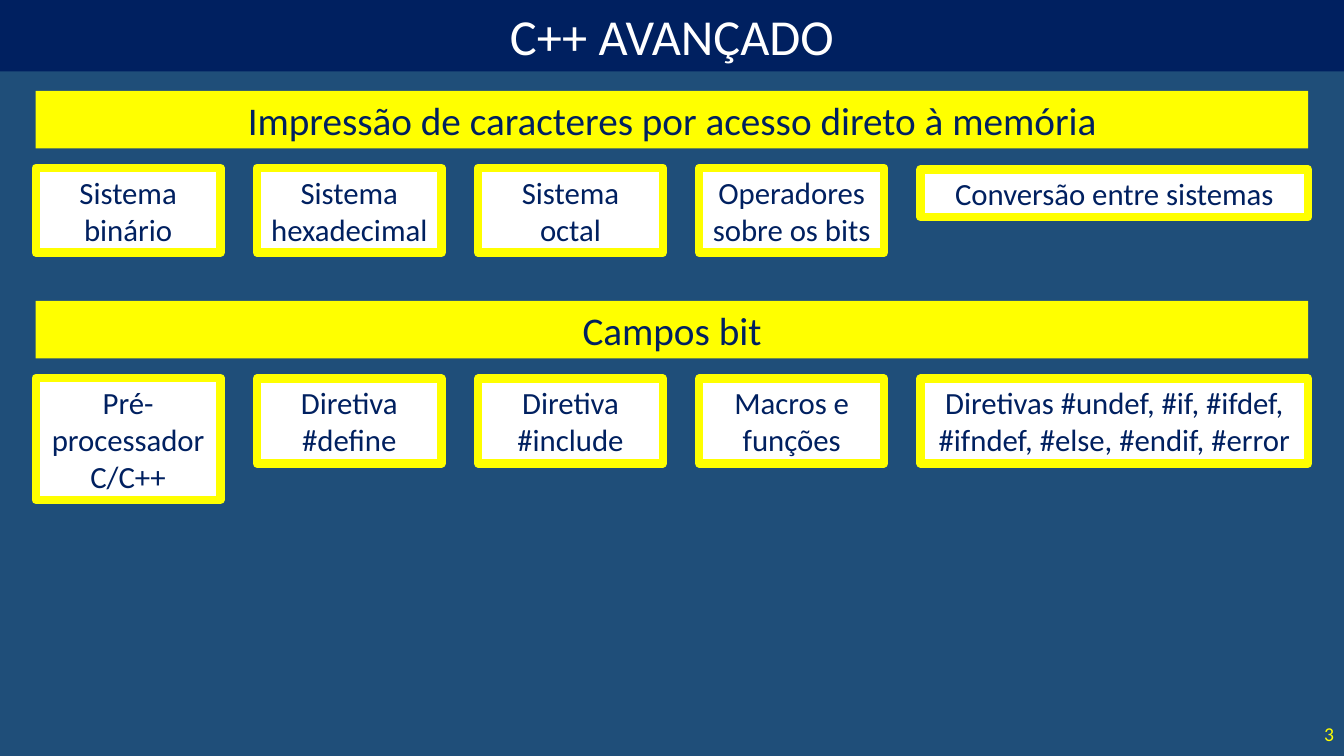
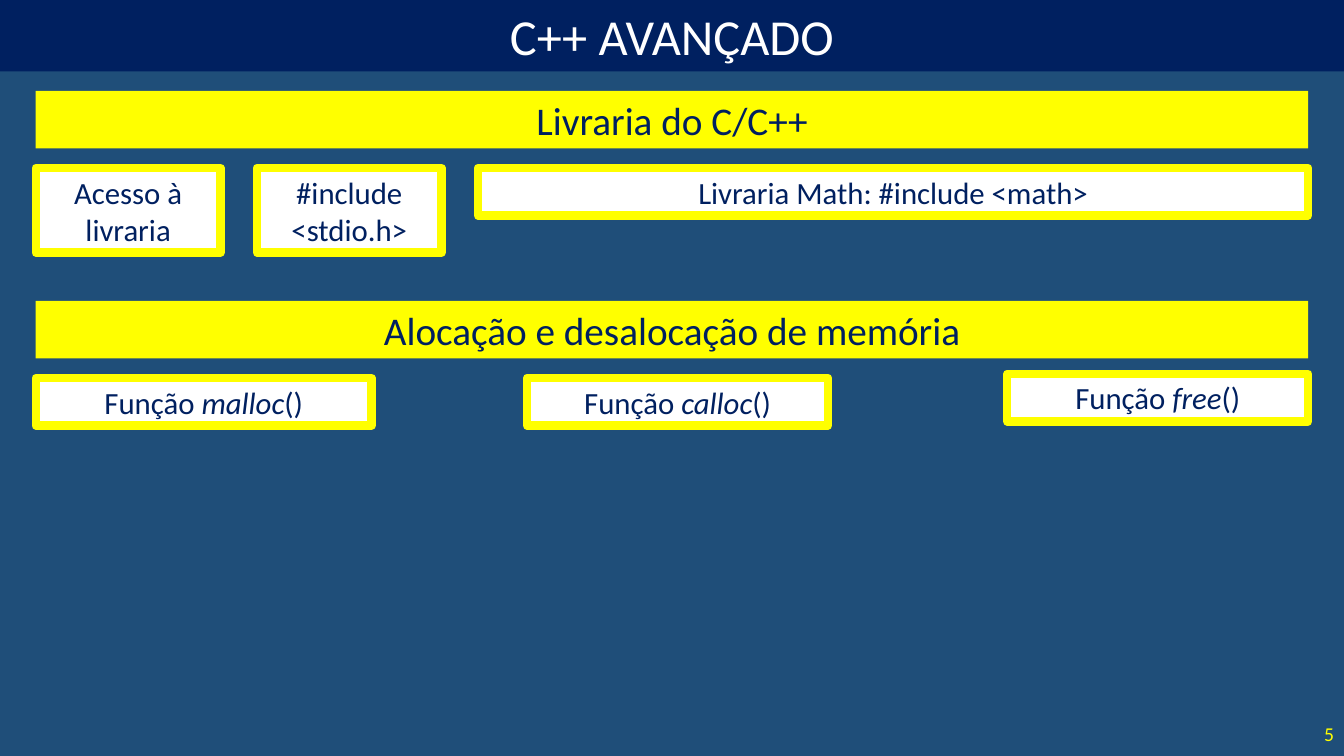
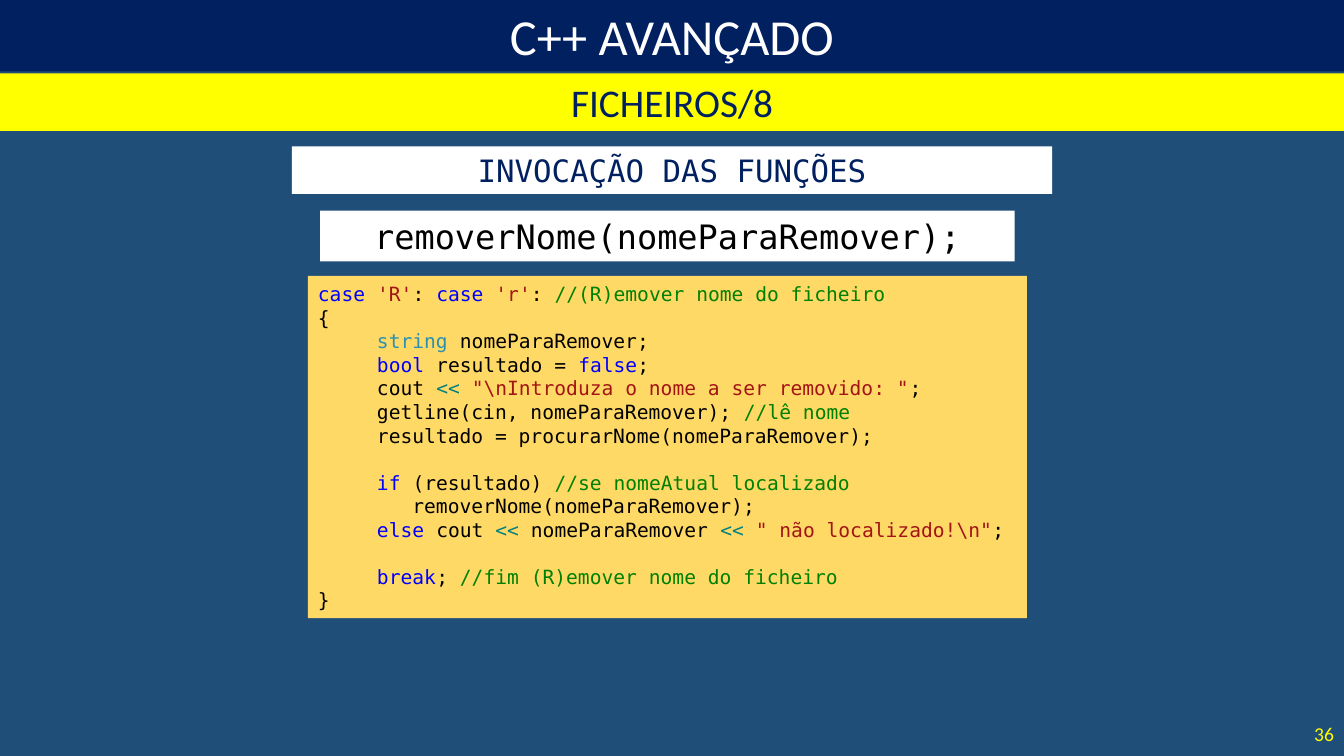
from pptx import Presentation
from pptx.dml.color import RGBColor
from pptx.enum.shapes import MSO_SHAPE
from pptx.enum.text import MSO_ANCHOR, MSO_AUTO_SIZE, PP_ALIGN
from pptx.util import Pt

RECT = MSO_SHAPE.RECTANGLE
MIDDLE = MSO_ANCHOR.MIDDLE
FIXED, GROW = MSO_AUTO_SIZE.NONE, MSO_AUTO_SIZE.SHAPE_TO_FIT_TEXT
LEFT, CENTER, RIGHT = PP_ALIGN.LEFT, PP_ALIGN.CENTER, PP_ALIGN.RIGHT

BLUE = RGBColor(0x1F, 0x4E, 0x79)
NAVY = RGBColor(0x00, 0x20, 0x60)
YELLOW = RGBColor(0xFF, 0xFF, 0x00)
WHITE = RGBColor(0xFF, 0xFF, 0xFF)
BLACK = RGBColor(0x00, 0x00, 0x00)
GOLD = RGBColor(0xFF, 0xD9, 0x66)

SANS, MONO = "Calibri", "DejaVu Sans Mono"

# Run styles
PLAIN = {}
ITALIC = {"italic": True}
WORD = {"color": RGBColor(0x00, 0x00, 0xFF)}
TYPE = {"color": RGBColor(0x2B, 0x91, 0xAF)}
QUOTE = {"color": RGBColor(0xA3, 0x15, 0x15)}
SIGN = {"color": RGBColor(0x00, 0x80, 0x80)}
NOTE = {"color": RGBColor(0x00, 0x80, 0x00)}

WIDE, HIGH = 960, 540
EDGE, SPAN = 25.5, 909
TILE, STEP = 132, 158
COLS = [EDGE + STEP * i for i in range(5)]
END = EDGE + SPAN


def write(shape, text, size=22, color=NAVY, font=SANS, align=CENTER, fit=GROW):
    """Fill a shape with a string, or with lines of (text, style) runs."""
    frame = shape.text_frame
    frame.word_wrap = True
    frame.auto_size = fit
    frame.vertical_anchor = MIDDLE
    lines = [[(text, PLAIN)]] if isinstance(text, str) else text
    for i, line in enumerate(lines):
        para = frame.add_paragraph() if i else frame.paragraphs[0]
        para.alignment = align
        for part, style in line:
            run = para.add_run()
            run.text = part
            run.font.name = font
            run.font.size = Pt(size)
            run.font.italic = style.get("italic")
            run.font.color.rgb = style.get("color", color)


def box(slide, text, x, y, w, h, fill=WHITE, line=None, **form):
    shape = slide.shapes.add_shape(RECT, Pt(x), Pt(y), Pt(w), Pt(h))
    shape.shadow.inherit = False
    shape.fill.solid()
    shape.fill.fore_color.rgb = fill
    if line is None:
        shape.line.fill.background()
    else:
        shape.line.color.rgb = line
        shape.line.width = Pt(6)
    write(shape, text, **form)


deck = Presentation()
deck.slide_width, deck.slide_height = Pt(WIDE), Pt(HIGH)
layout = deck.slide_layouts[5]
layout.background.fill.solid()
layout.background.fill.fore_color.rgb = BLUE

# Title band and page number of every slide
slides = []
for page in ("3", "5", "36"):
    slide = deck.slides.add_slide(layout)
    title = slide.shapes.title
    title.left, title.top, title.width, title.height = 0, 0, Pt(WIDE), Pt(51)
    title.fill.solid()
    title.fill.fore_color.rgb = NAVY
    write(title, "C++ AVANÇADO", size=36, color=WHITE, fit=FIXED)
    mark = slide.shapes.add_textbox(Pt(871), Pt(509.5), Pt(89), Pt(29))
    write(mark, page, size=14, color=YELLOW, align=RIGHT, fit=FIXED)
    slides.append(slide)
first, second, third = slides

# Topics: slide, top, heading, tiles as (text, left, width, drop, lines)
topics = [
    (first, 65, "Impressão de caracteres por acesso direto à memória", [
        ("Sistema binário", COLS[0], TILE, 0, 2),
        ("Sistema hexadecimal", COLS[1], TILE, 0, 2),
        ("Sistema octal", COLS[2], TILE, 0, 2),
        ("Operadores sobre os bits", COLS[3], TILE, 0, 2),
        ("Conversão entre sistemas", COLS[4], END - COLS[4], 1, 1),
    ]),
    (first, 215, "Campos bit", [
        ("Pré-processador C/C++", COLS[0], TILE, 0, 3),
        ("Diretiva #define", COLS[1], TILE, 0.5, 2),
        ("Diretiva #include", COLS[2], TILE, 0.5, 2),
        ("Macros e funções", COLS[3], TILE, 0.5, 2),
        ("Diretivas #undef, #if, #ifdef, #ifndef, #else, #endif, #error",
         COLS[4], END - COLS[4], 0.5, 2),
    ]),
    (second, 65, "Livraria do C/C++", [
        ("Acesso à livraria", COLS[0], TILE, 0, 2),
        ("#include <stdio.h>", COLS[1], TILE, 0, 2),
        ("Livraria Math: #include <math>", COLS[2], END - COLS[2], 0, 1),
    ]),
    (second, 215, "Alocação e desalocação de memória", [
        ([[("Função ", PLAIN), (name, ITALIC), ("()", PLAIN)]], x, w, drop, 1)
        for name, x, w, drop in (("malloc", EDGE, 240, 0),
                                 ("calloc", 376.5, 215, 0),
                                 ("free", END - 215, 215, -3))
    ]),
]
for slide, top, head, tiles in topics:
    box(slide, head, EDGE, top, SPAN, 41, fill=YELLOW, size=28)
    for text, x, w, drop, lines in tiles:
        box(slide, text, x, top + 55 + drop, w, 7.5 + 26.5 * lines, line=YELLOW)

# Code slide
code = [
    [("case ", WORD), ("'R'", QUOTE), (": ", PLAIN), ("case ", WORD),
     ("'r'", QUOTE), (": ", PLAIN), ("//(R)emover nome do ficheiro", NOTE)],
    [("{", PLAIN)],
    [("     string ", TYPE), ("nomeParaRemover;", PLAIN)],
    [("     bool", WORD), (" resultado = ", PLAIN), ("false", WORD), (";", PLAIN)],
    [("     cout ", PLAIN), ("<< ", SIGN),
     ('"\\nIntroduza o nome a ser removido: "', QUOTE), (";", PLAIN)],
    [("     getline(cin, nomeParaRemover); ", PLAIN), ("//lê nome", NOTE)],
    [("     resultado = procurarNome(nomeParaRemover);", PLAIN)],
    [("     ", PLAIN)],
    [("     if", WORD), (" (resultado) ", PLAIN),
     ("//se nomeAtual localizado", NOTE)],
    [("        removerNome(nomeParaRemover);", PLAIN)],
    [("     else ", WORD), ("cout ", PLAIN), ("<< ", SIGN),
     ("nomeParaRemover ", PLAIN), ("<< ", SIGN),
     ('" não localizado!\\n"', QUOTE), (";", PLAIN)],
    [("     ", PLAIN)],
    [("     break", WORD), ("; ", PLAIN),
     ("//fim (R)emover nome do ficheiro", NOTE)],
    [("}", PLAIN)],
]
box(third, "FICHEIROS/8", 0, 52.5, WIDE, 41, fill=YELLOW, size=28)
box(third, "INVOCAÇÃO DAS FUNÇÕES", 208.5, 104.5, 543, 34, font=MONO)
box(third, "removerNome(nomeParaRemover);", 228.75, 150.5, 496, 36.25,
    size=24, color=BLACK, font=MONO)
box(third, code, 220, 197, 513.5, 244.5, fill=GOLD,
    size=14, color=BLACK, font=MONO, align=LEFT)

deck.save("out.pptx")
